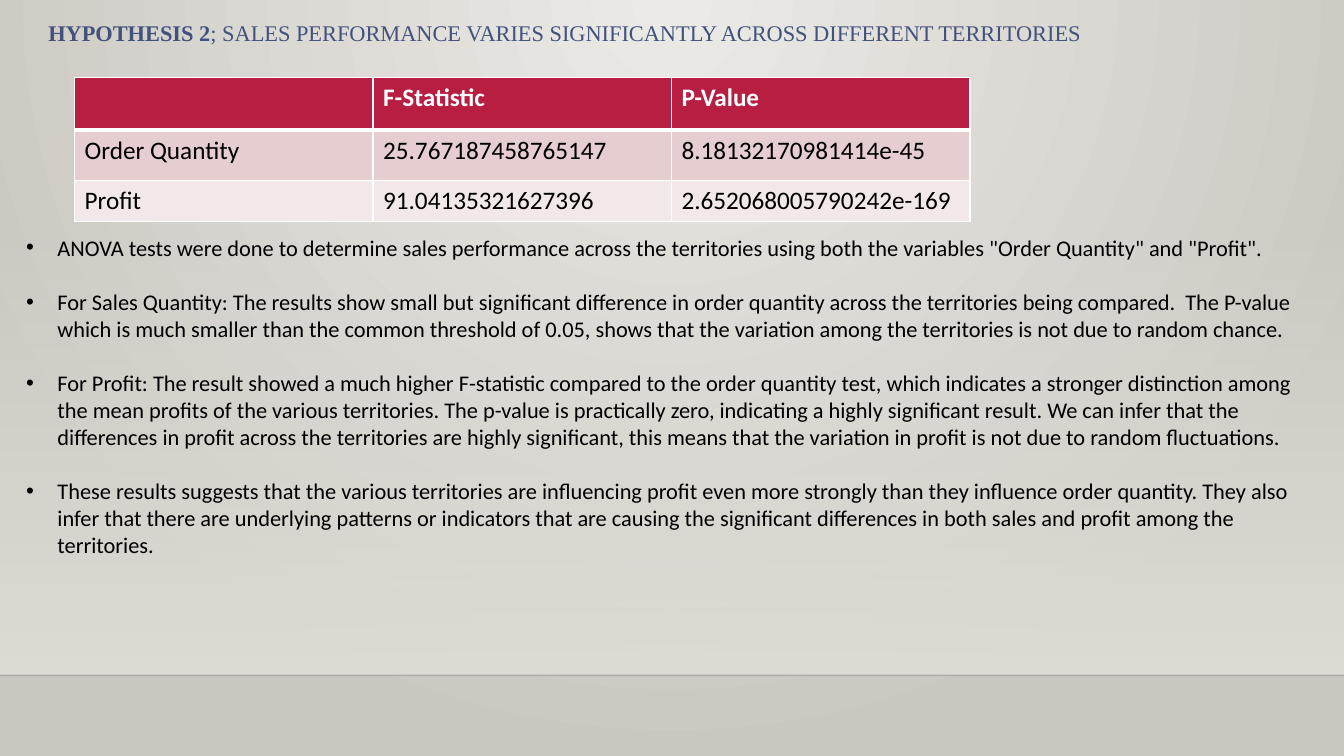
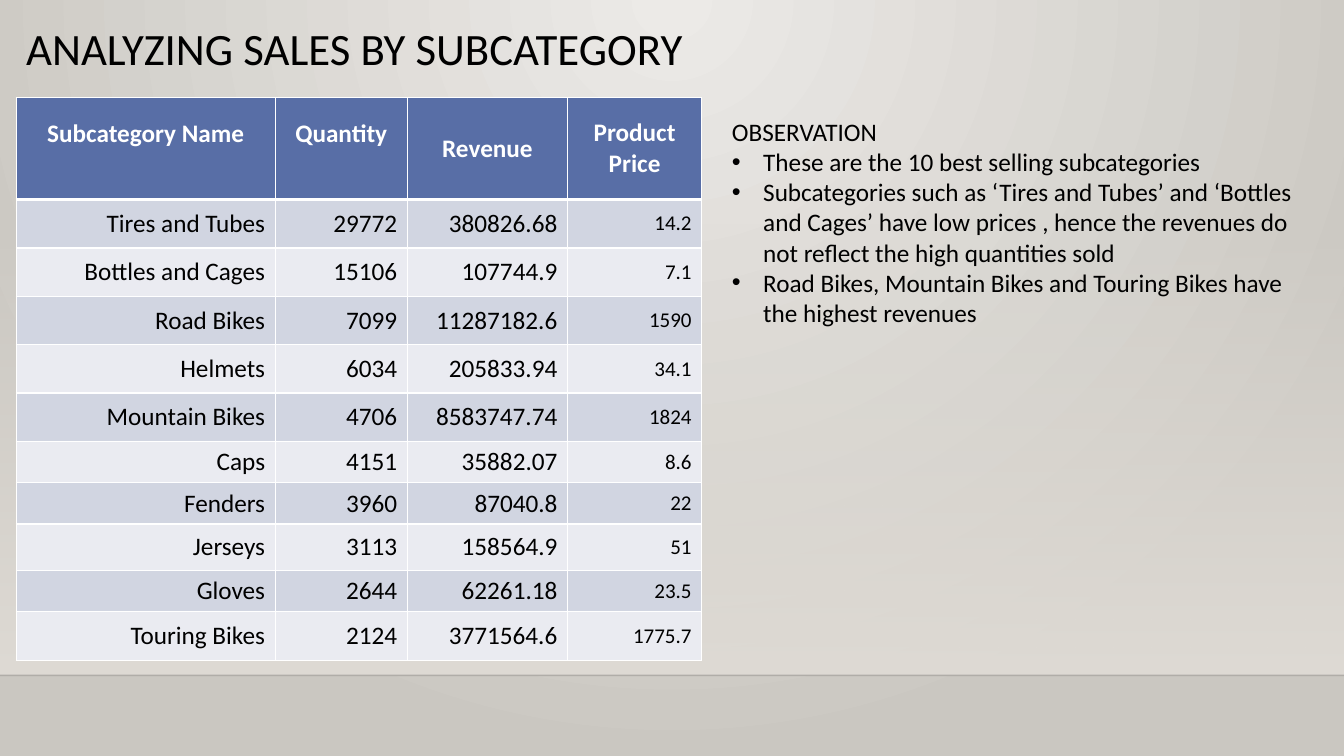
from lxml.etree import SubElement
from pptx import Presentation
from pptx.dml.color import RGBColor
from pptx.enum.shapes import MSO_CONNECTOR, MSO_SHAPE
from pptx.enum.text import MSO_ANCHOR, MSO_AUTO_SIZE, PP_ALIGN
from pptx.oxml import parse_xml
from pptx.oxml.ns import nsdecls, qn
from pptx.util import Pt

SCALE = 9144  # EMU in one px, 100 px to the inch
WIDE, HIGH = 1333, 750
FLOOR = 670

WHITE = RGBColor(0xFF, 0xFF, 0xFF)
BLACK = RGBColor(0x00, 0x00, 0x00)
GLOW = RGBColor(0xEC, 0xEA, 0xE7)
STONE = RGBColor(0xCA, 0xC7, 0xC1)
SAND = RGBColor(0xDF, 0xDB, 0xD5)
NAVY = RGBColor(0x42, 0x52, 0x7C)
# Header, odd rows, even rows
REDS = (RGBColor(0xB7, 0x1E, 0x42), RGBColor(0xE6, 0xCD, 0xCF),
        RGBColor(0xF3, 0xE8, 0xE9))
BLUES = (RGBColor(0x58, 0x6E, 0xA6), RGBColor(0xD1, 0xD5, 0xE1),
         RGBColor(0xEA, 0xEB, 0xF1))

TESTS = [
    ("", "F-Statistic", "P-Value"),
    ("Order Quantity", "25.767187458765147", "8.18132170981414e-45"),
    ("Profit", "91.04135321627396", "2.652068005790242e-169"),
]
FINDINGS = [
    'ANOVA tests were done to determine sales performance across the territories using both the variables "Order Quantity" and "Profit".',
    "For Sales Quantity: The results show small but significant difference in order quantity across the territories being compared.  The P-value which is much smaller than the common threshold of 0.05, shows that the variation among the territories is not due to random chance.",
    "For Profit: The result showed a much higher F-statistic compared to the order quantity test, which indicates a stronger distinction among the mean profits of the various territories. The p-value is practically zero, indicating a highly significant result. We can infer that the differences in profit across the territories are highly significant, this means that the variation in profit is not due to random fluctuations.",
    "These results suggests that the various territories are influencing profit even more strongly than they influence order quantity. They also infer that there are underlying patterns or indicators that are causing the significant differences in both sales and profit among the territories.",
]
SALES = [
    ("Subcategory Name", "Quantity", "Revenue", "Product Price"),
    ("Tires and Tubes", "29772", "380826.68", "14.2"),
    ("Bottles and Cages", "15106", "107744.9", "7.1"),
    ("Road Bikes", "7099", "11287182.6", "1590"),
    ("Helmets", "6034", "205833.94", "34.1"),
    ("Mountain Bikes", "4706", "8583747.74", "1824"),
    ("Caps", "4151", "35882.07", "8.6"),
    ("Fenders", "3960", "87040.8", "22"),
    ("Jerseys", "3113", "158564.9", "51"),
    ("Gloves", "2644", "62261.18", "23.5"),
    ("Touring Bikes", "2124", "3771564.6", "1775.7"),
]
NOTES = [
    "These are the 10 best selling subcategories",
    "Subcategories such as ‘Tires and Tubes’ and ‘Bottles and Cages’ have low prices , hence the revenues do not reflect the high quantities sold",
    "Road Bikes, Mountain Bikes and Touring Bikes have the highest revenues",
]


def px(*sizes):
    return [round(size * SCALE) for size in sizes]


def write(para, text, size=18, font="Calibri", color=BLACK, bold=False,
          align=PP_ALIGN.LEFT):
    para.alignment = align
    run = para.add_run()
    run.text = text
    run.font.size = Pt(size)
    run.font.name = font
    run.font.color.rgb = color
    run.font.bold = bold


def blend(fill, *colors):
    fill.gradient()
    for stop, color in zip(fill.gradient_stops, colors):
        stop.color.rgb = color


def fade(root, share):
    """Give the first plain colour under root an opacity in percent."""
    color = next(root.iter(qn("a:srgbClr")))
    SubElement(color, qn("a:alpha"), val=str(share * 1000))


def edge(cell, side, width):
    """Add a white cell border; call before the cell is filled."""
    line = SubElement(cell._tc.get_or_add_tcPr(), qn(f"a:ln{side}"),
                      w=str(Pt(width)))
    fill = SubElement(line, qn("a:solidFill"))
    SubElement(fill, qn("a:srgbClr"), val=str(WHITE))


class Deck:
    """Holds the shared style and the current slide."""

    def __init__(self):
        self.prs = Presentation()
        self.prs.slide_width, self.prs.slide_height = px(WIDE, HIGH)
        self.slide = None

    def start(self):
        first = self.slide is None
        self.slide = self.prs.slides.add_slide(self.prs.slide_layouts[1])
        if first:
            self.dress()

    def dress(self):
        """Put the backdrop, band and floor line on the master."""
        master = self.prs.slide_master
        blend(master.background.fill, GLOW, STONE)
        line = next(master.element.iter(qn("a:lin")))
        line.getparent().replace(line, parse_xml(
            f'<a:path {nsdecls("a")} path="circle"><a:fillToRect '
            'l="43000" t="0" r="43000" b="100000"/></a:path>'))

        shapes = self.slide.shapes
        band = shapes.add_shape(MSO_SHAPE.RECTANGLE,
                                *px(0, 221, WIDE, FLOOR - 221))
        band.shadow.inherit = False
        band.line.fill.background()
        blend(band.fill, SAND, SAND)
        band.fill.gradient_angle = 270
        fade(band.element, 0)

        rule = shapes.add_connector(MSO_CONNECTOR.STRAIGHT,
                                    *px(0, FLOOR, WIDE, FLOOR))
        rule.line.color.rgb = BLACK
        rule.line.width = Pt(1)
        fade(rule.element, 20)
        SubElement(rule.element.spPr, qn("a:effectLst"))
        for place, shape in enumerate((band, rule), 2):
            master.shapes.element.insert(place, shape.element)

    def frame(self, holder, box):
        """Move a placeholder, clear its fitting and return its text frame."""
        holder.left, holder.top, holder.width, holder.height = px(*box)
        frame = holder.text_frame
        frame.word_wrap = True
        frame.auto_size = MSO_AUTO_SIZE.SHAPE_TO_FIT_TEXT
        frame.vertical_anchor = MSO_ANCHOR.TOP
        return frame

    def title(self, box, *parts, **style):
        """Write (text, bold) parts on one line."""
        para = self.frame(self.slide.shapes.title, box).paragraphs[0]
        for text, bold in parts:
            write(para, text, bold=bold, **style)

    def list(self, box, items, head=None, size=18, gap=0):
        frame = self.frame(self.slide.placeholders[1], box)
        lines = ([head] if head else []) + items
        for rank, text in enumerate(lines):
            para = frame.add_paragraph() if rank else frame.paragraphs[0]
            write(para, text, size=size)
            para.space_before = Pt(0)
            para.space_after = Pt(gap if rank < len(lines) - 1 else 0)
            props = para._p.get_or_add_pPr()
            inset = 0 if text == head else px(31)[0]
            props.set("marL", str(inset))
            props.set("indent", str(-inset))
            if not inset:
                SubElement(props, qn("a:buNone"))

    def table(self, spot, rows, cols, highs, fills, anchor=MSO_ANCHOR.TOP,
              head=PP_ALIGN.LEFT, body=PP_ALIGN.LEFT, sizes=None):
        """Draw a banded table; sizes gives each column's body text size."""
        sizes = sizes or [18] * len(cols)
        grid = self.slide.shapes.add_table(
            len(rows), len(cols), *px(*spot, sum(cols), sum(highs))).table
        for col, width in zip(grid.columns, px(*cols)):
            col.width = width
        for row, high in zip(grid.rows, px(*highs)):
            row.height = high
        for y, texts in enumerate(rows):
            top = y == 0
            for x, text in enumerate(texts):
                cell = grid.cell(y, x)
                edge(cell, "L", 1)
                edge(cell, "R", 1)
                if top:
                    edge(cell, "T", 1)
                edge(cell, "B", 3 if top else 1)
                cell.fill.solid()
                cell.fill.fore_color.rgb = fills[0 if top else 2 - y % 2]
                cell.vertical_anchor = anchor
                if text:
                    write(cell.text_frame.paragraphs[0], text, bold=top,
                          size=18 if top else sizes[x],
                          color=WHITE if top else BLACK,
                          align=head if top else body)
        return grid


def main():
    deck = Deck()

    deck.start()
    deck.title((38, 14, 1067, 37), ("HYPOTHESIS 2", True),
               ("; SALES PERFORMANCE VARIES SIGNIFICANTLY ACROSS DIFFERENT TERRITORIES", False),
               size=16, font="Times New Roman", color=NAVY)
    deck.table((74, 77), TESTS, [296] * 3, [52, 50, 41], REDS)
    deck.list((16, 227, 1291, 333), FINDINGS, size=16, gap=19.5)

    deck.start()
    deck.title((16, 16, 914, 64), ("ANALYZING SALES BY SUBCATEGORY", False),
               size=32)
    grid = deck.table((16, 97), SALES, [257, 131, 159, 133],
                      [101] + [48] * 5 + [41, 41, 46, 41, 48], BLUES,
                      anchor=MSO_ANCHOR.MIDDLE, head=PP_ALIGN.CENTER,
                      body=PP_ALIGN.RIGHT, sizes=[18, 18, 18, 15])
    for x in (0, 1):  # these two heads sit half a line higher
        grid.cell(0, x).margin_bottom = px(35)[0]
    deck.list((716, 110, 604, 224), NOTES, head="OBSERVATION")

    deck.prs.save("out.pptx")


if __name__ == "__main__":
    main()
